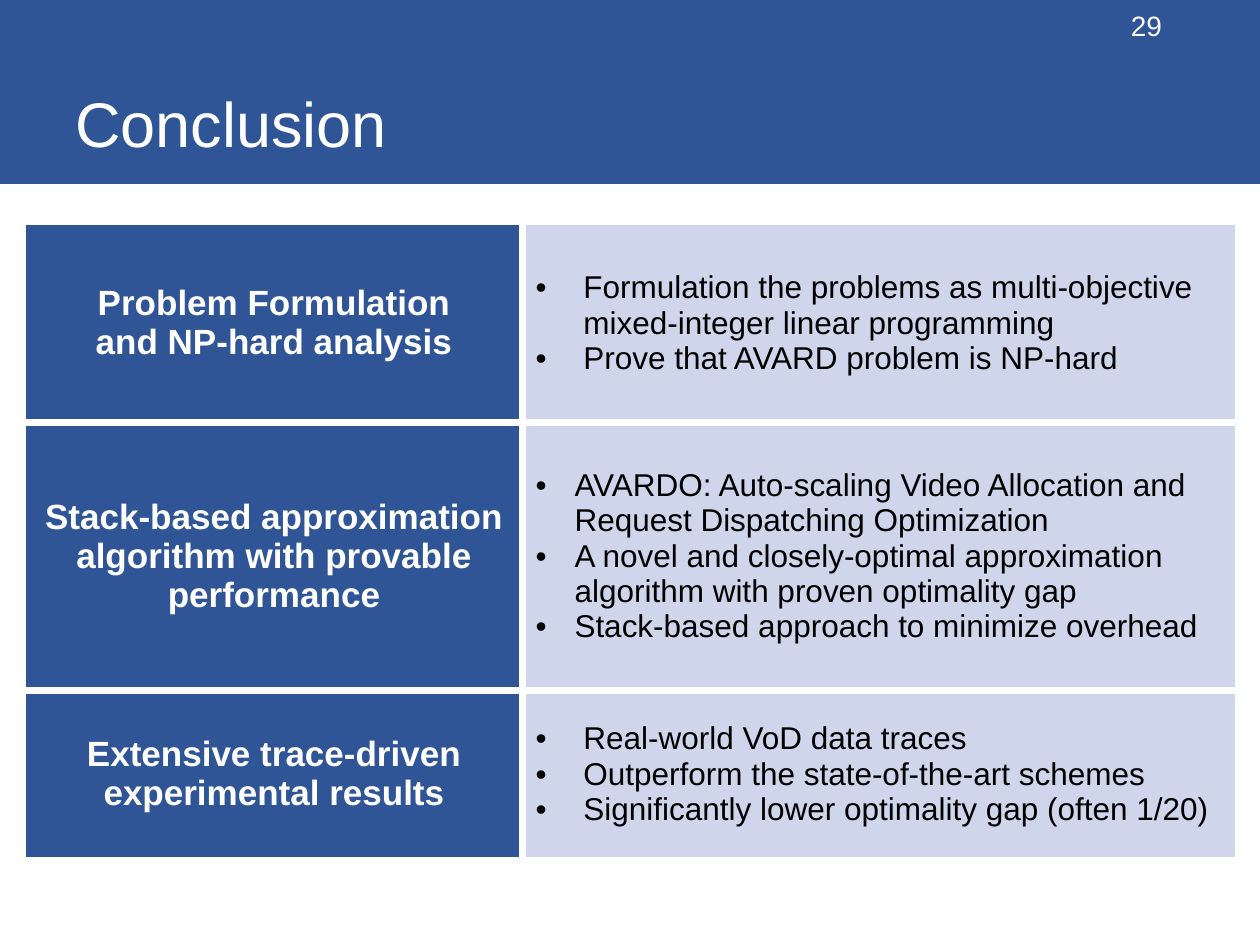
from dataclasses import dataclass

from lxml import etree
from pptx import Presentation
from pptx import util as u
from pptx.dml.color import RGBColor
from pptx.enum import shapes, text
from pptx.oxml.ns import qn


@dataclass(frozen=True)
class Theme:
    font: str = "Arial"
    blue: str = "2F5597"
    pale: str = "CFD5EA"
    white: str = "FFFFFF"
    black: str = "000000"
    title_size: int = 36
    number_size: int = 16
    topic_size: int = 20
    detail_size: int = 18
    outer_border: float = 1
    inner_border: float = 4.5


THEME = Theme()
COLUMN_WIDTHS = (3.95, 5.66)
ROWS = [
    (1.57, 0.38, ["Problem Formulation", "and NP-hard analysis"], [
        "Formulation the problems as multi-objective mixed-integer linear programming",
        "Prove that AVARD problem is NP-hard",
    ]),
    (2.13, 0.31, ["Stack-based approximation algorithm with provable performance"], [
        "AVARDO: Auto-scaling Video Allocation and Request Dispatching Optimization",
        "A novel and closely-optimal approximation algorithm with proven optimality gap",
        "Stack-based approach to minimize overhead",
    ]),
    (1.33, 0.38, ["Extensive trace-driven experimental results"], [
        "Real-world VoD data traces",
        "Outperform the state-of-the-art schemes",
        "Significantly lower optimality gap (often 1/20)",
    ]),
]


def set_fill(target, color):
    target.fill.solid()
    target.fill.fore_color.rgb = RGBColor.from_string(color)


def write_lines(frame, lines, size, color, align, bold=False):
    frame.word_wrap = True
    frame.text = "\n".join(lines)
    for paragraph in frame.paragraphs:
        paragraph.alignment = align
        font = paragraph.font
        font.name, font.size, font.bold = THEME.font, u.Pt(size), bold
        font.color.rgb = RGBColor.from_string(color)


def add_bullets(frame, indent):
    for paragraph in frame.paragraphs:
        properties = paragraph._p.get_or_add_pPr()
        properties.set("marL", str(u.Inches(indent)))
        properties.set("indent", str(-u.Inches(indent)))
        etree.SubElement(properties, qn("a:buFont"), typeface=THEME.font)
        etree.SubElement(properties, qn("a:buChar"), char="•")


def set_borders(cell, widths):
    properties = cell._tc.get_or_add_tcPr()
    for position, (side, width) in enumerate(widths.items()):
        line = etree.Element(qn(f"a:ln{side}"), w=str(u.Pt(width)))
        solid = etree.SubElement(line, qn("a:solidFill"))
        etree.SubElement(solid, qn("a:srgbClr"), val=THEME.white)
        properties.insert(position, line)


def add_band(slide):
    band = slide.shapes.add_shape(
        shapes.MSO_SHAPE.RECTANGLE, 0, 0, u.Inches(10), u.Inches(1.46))
    band.shadow.inherit = False
    band.line.fill.background()
    set_fill(band, THEME.blue)


def add_label(slide, box, words, size, align, anchor):
    frame = slide.shapes.add_textbox(*map(u.Inches, box)).text_frame
    write_lines(frame, [words], size, THEME.white, align)
    frame.vertical_anchor = anchor


def add_summary_table(slide):
    height = sum(row[0] for row in ROWS)
    table = slide.shapes.add_table(
        len(ROWS), len(COLUMN_WIDTHS), u.Inches(0.2), u.Inches(1.78),
        u.Inches(sum(COLUMN_WIDTHS)), u.Inches(height)).table
    for column, width in zip(table.columns, COLUMN_WIDTHS):
        column.width = u.Inches(width)

    outer, inner = THEME.outer_border, THEME.inner_border
    last = len(ROWS) - 1
    for index, (row_height, indent, topic, details) in enumerate(ROWS):
        table.rows[index].height = u.Inches(row_height)
        topic_cell, detail_cell = table.rows[index].cells
        write_lines(topic_cell.text_frame, topic, THEME.topic_size,
                    THEME.white, text.PP_ALIGN.CENTER, bold=True)
        write_lines(detail_cell.text_frame, details, THEME.detail_size,
                    THEME.black, text.PP_ALIGN.LEFT)
        add_bullets(detail_cell.text_frame, indent)

        top = outer if index == 0 else inner
        bottom = outer if index == last else inner
        for cell, color, left, right in (
                (topic_cell, THEME.blue, outer, inner),
                (detail_cell, THEME.pale, inner, outer)):
            cell.vertical_anchor = text.MSO_ANCHOR.MIDDLE
            set_fill(cell, color)
            set_borders(cell, {"L": left, "R": right, "T": top, "B": bottom})


def main():
    presentation = Presentation()
    presentation.slide_width, presentation.slide_height = u.Inches(10), u.Inches(7.5)
    slide = presentation.slides.add_slide(presentation.slide_layouts[6])
    add_band(slide)
    add_label(slide, (0.5, 0, 8.82, 1.32), "Conclusion", THEME.title_size,
              text.PP_ALIGN.LEFT, text.MSO_ANCHOR.BOTTOM)
    add_label(slide, (6.63, 0, 2.69, 0.4), "29", THEME.number_size,
              text.PP_ALIGN.RIGHT, text.MSO_ANCHOR.MIDDLE)
    add_summary_table(slide)
    presentation.save("out.pptx")


if __name__ == "__main__":
    main()
